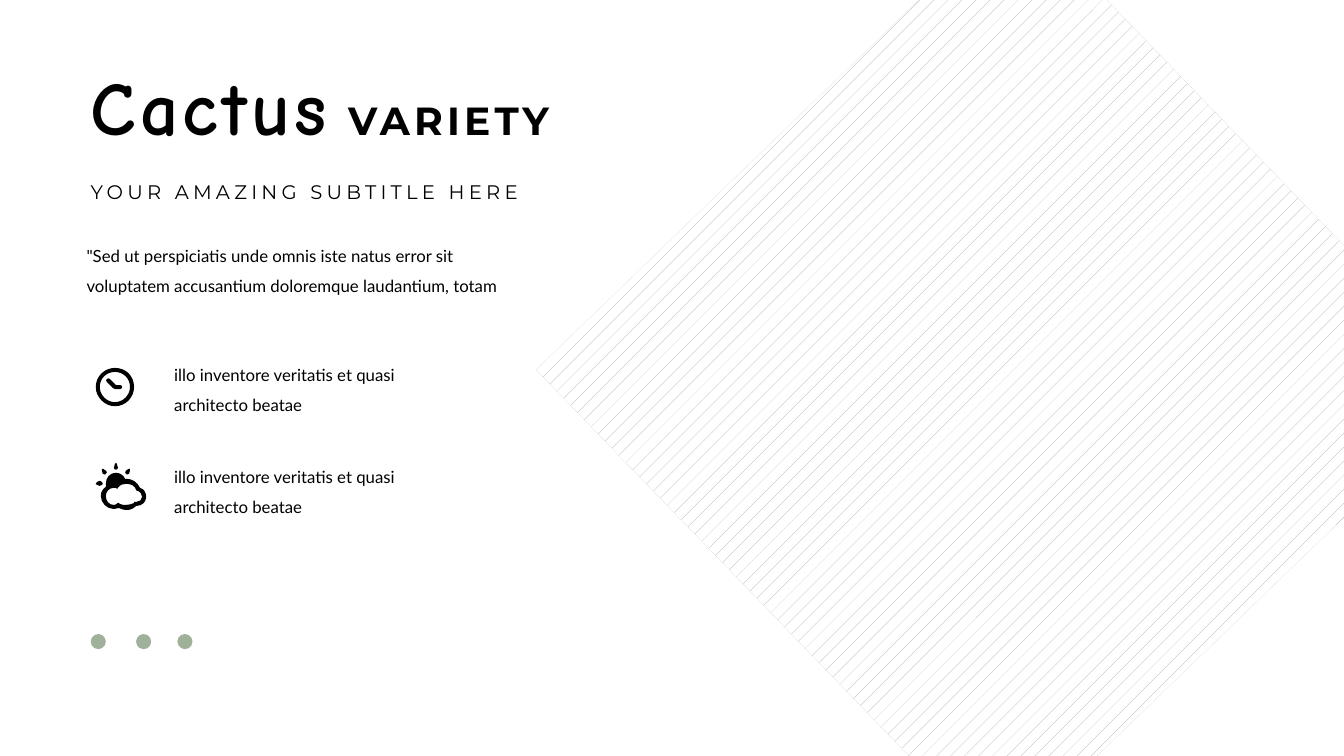
from lxml import etree
from pptx import Presentation
from pptx.dml.color import RGBColor
from pptx.enum.dml import MSO_PATTERN
from pptx.enum.shapes import MSO_SHAPE
from pptx.oxml.ns import qn
from pptx.util import Pt

PX = 9144
COLORS = {"ink": "000000", "sage": "A0B19A", "paper": "FFFFFF"}
SHADE = {name: RGBColor.from_string(code) for name, code in COLORS.items()}

deck = Presentation()
deck.slide_width, deck.slide_height = 4000 * PX // 3, 750 * PX
slide = deck.slides.add_slide(deck.slide_layouts[6])
shapes = slide.shapes


def write(runs, box, lead=1.0, bold=False, gap=0):
    frame = shapes.add_textbox(*[n * PX for n in box]).text_frame
    frame.word_wrap = True
    para = frame.paragraphs[0]
    para.line_spacing = lead
    for text, size, face in runs:
        run = para.add_run()
        run.text = text
        run.font.size = Pt(size)
        run.font.name = face
        run.font.bold = bold
        run.font.color.rgb = SHADE["ink"]
        if gap:
            run._r.get_or_add_rPr().set("spc", str(gap * 100))


def trace(home, *loops):
    pen = None
    for start, *curves in loops:
        if pen is None:
            pen = home.build_freeform(*start, scale=PX)
        else:
            pen.move_to(*start)
        pen.add_line_segments([curve[4:] for curve in curves], close=False)
        pen.add_line_segments([], close=True)
    icon = pen.convert_to_shape()
    ends = [dot for start, *curves in loops for dot in (start, *[c[4:] for c in curves])]
    left, top = min(x for x, y in ends), min(y for x, y in ends)
    bends = [curve for loop in loops for curve in loop[1:]]
    for line, bend in zip(list(icon._element.iter(qn("a:lnTo"))), bends):
        line.tag = qn("a:cubicBezTo")
        for old in list(line):
            line.remove(old)
        for x, y in zip(bend[::2], bend[1::2]):
            etree.SubElement(line, qn("a:pt"), x=str(x - left), y=str(y - top))
    icon.shadow.inherit = False
    icon.fill.solid()
    icon.fill.fore_color.rgb = SHADE["ink"]
    icon.line.fill.background()


for style in ("plain", "lined"):
    panel = shapes.add_shape(MSO_SHAPE.RECTANGLE, *[n * PX for n in (669, 44, 662, 662)])
    panel.rotation = 46
    panel.shadow.inherit = False
    panel.line.fill.background()
    if style == "plain":
        panel.fill.solid()
    else:
        panel.fill.patterned()
        panel.fill.pattern = MSO_PATTERN.PERCENT_5
        panel.fill.back_color.rgb = SHADE["paper"]
    panel.fill.fore_color.rgb = SHADE["sage"]

write([('"Sed ut perspiciatis unde omnis iste natus error sit voluptatem '
        "accusantium doloremque laudantium, totam", 12, "Lato")],
      (76, 229, 452, 102), lead=1.5)

trace(
    shapes,
    [(133, 384), (133, 394, 125, 403, 114, 403), (104, 403, 95, 394, 95, 384),
     (95, 373, 104, 365, 114, 365), (125, 365, 133, 373, 133, 384)],
    [(129, 384), (129, 375, 122, 369, 114, 369), (106, 369, 99, 375, 99, 384),
     (99, 392, 106, 399, 114, 399), (122, 399, 129, 392, 129, 384)],
    [(119, 382), (115, 382, 115, 382, 115, 382), (109, 376, 109, 376, 109, 376),
     (107, 374, 104, 377, 106, 379), (112, 385, 112, 385, 112, 385),
     (113, 386, 113, 386, 114, 386), (119, 386, 119, 386, 119, 386),
     (122, 386, 122, 382, 119, 382)],
)

for top in (347, 448):
    write([("illo inventore veritatis et quasi architecto beatae", 12, "Lato")],
          (163, top, 248, 85), lead=1.5)

sky = shapes.add_group_shape().shapes
trace(
    sky,
    [(139, 484), (136, 478, 131, 475, 125, 475), (125, 475, 125, 475, 124, 475),
     (123, 472, 119, 469, 115, 469), (109, 469, 105, 474, 105, 480),
     (105, 481, 105, 482, 105, 483), (102, 485, 100, 488, 100, 492),
     (100, 499, 106, 505, 113, 505), (115, 505, 116, 505, 118, 504),
     (120, 505, 123, 506, 125, 506), (129, 506, 132, 505, 135, 502),
     (135, 502, 135, 502, 135, 502), (141, 502, 145, 498, 145, 493),
     (145, 489, 143, 485, 139, 484)],
    [(135, 498), (135, 498, 135, 498, 134, 498), (133, 498, 133, 498, 133, 498),
     (133, 499, 133, 499, 133, 499), (131, 500, 128, 501, 125, 501),
     (123, 501, 121, 501, 119, 500), (118, 499, 118, 499, 118, 499),
     (117, 499, 117, 499, 117, 499), (116, 500, 114, 501, 113, 501),
     (108, 501, 105, 497, 105, 492), (105, 488, 108, 484, 113, 484),
     (113, 484, 114, 484, 115, 484), (116, 485, 116, 485, 116, 485),
     (117, 484, 117, 484, 117, 484), (119, 481, 122, 480, 125, 480),
     (130, 480, 134, 482, 135, 486), (136, 487, 136, 487, 136, 487),
     (137, 487, 137, 487, 137, 487), (139, 488, 141, 490, 141, 493),
     (141, 496, 138, 498, 135, 498)],
)
rays = [
    [(115, 466), (116, 466, 117, 465, 117, 464), (117, 461, 115, 459, 115, 459),
     (115, 459, 113, 461, 113, 464), (113, 465, 114, 466, 115, 466)],
    [(102, 480), (102, 479, 101, 477, 99, 477), (97, 477, 95, 479, 95, 480),
     (95, 480, 97, 482, 99, 482), (101, 482, 102, 480, 102, 480)],
    [(125, 470), (125, 471, 127, 471, 128, 470), (129, 468, 129, 466, 129, 465),
     (129, 465, 126, 465, 125, 467), (124, 468, 124, 469, 125, 470)],
    [(105, 470), (106, 469, 107, 468, 105, 467), (104, 465, 101, 465, 101, 465),
     (101, 465, 101, 468, 102, 470), (104, 471, 105, 471, 105, 470)],
]
for ray in rays:
    trace(sky, ray)

write([("Cactus", 54, "Comic Neue"), (" ", 32, "Montserrat"), ("VARIETY", 28, "Montserrat")],
      (80, 54, 694, 101), bold=True, gap=3)
write([("YOUR AMAZING SUBTITLE HERE", 14, "Montserrat")], (80, 162, 607, 62), lead=1.5, gap=3)

for left in (90, 135, 176):
    dot = shapes.add_shape(MSO_SHAPE.OVAL, left * PX, 629 * PX, 15 * PX, 15 * PX)
    dot.shadow.inherit = False
    dot.fill.solid()
    dot.fill.fore_color.rgb = SHADE["sage"]
    dot.line.fill.background()

deck.save("out.pptx")
